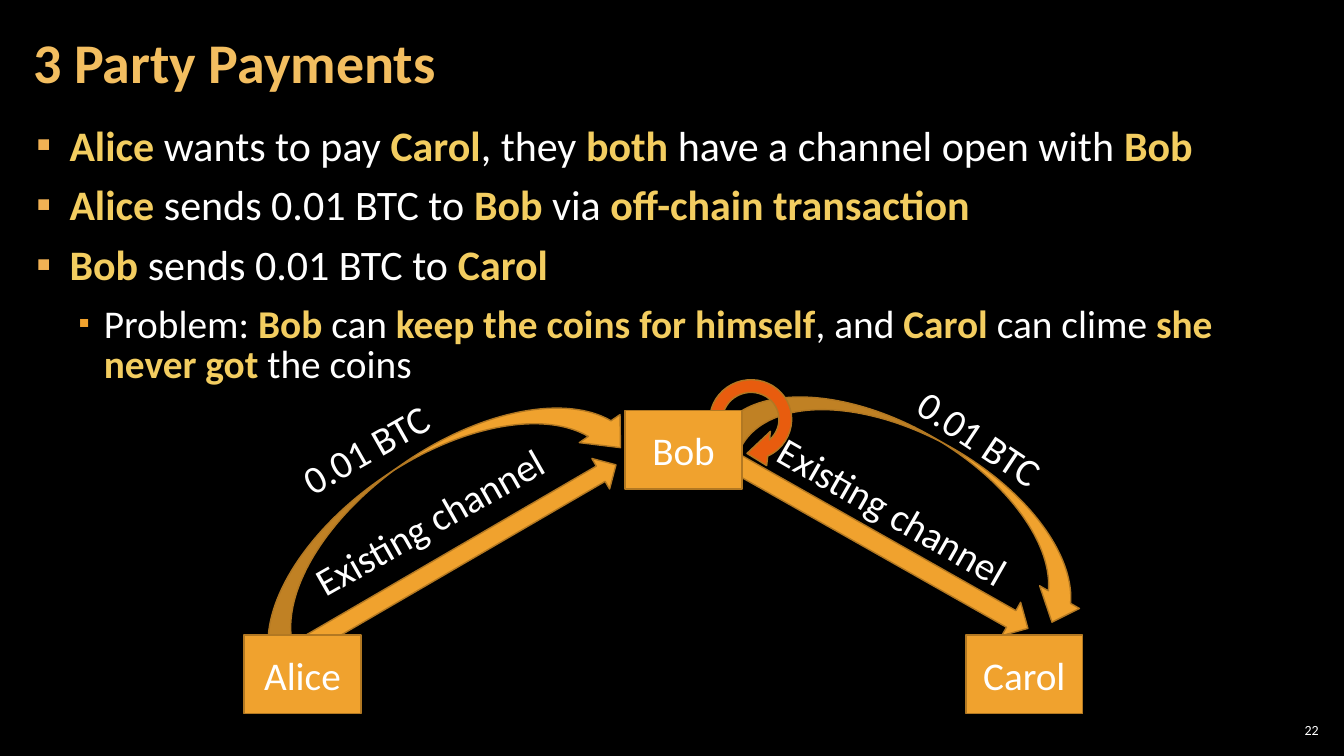
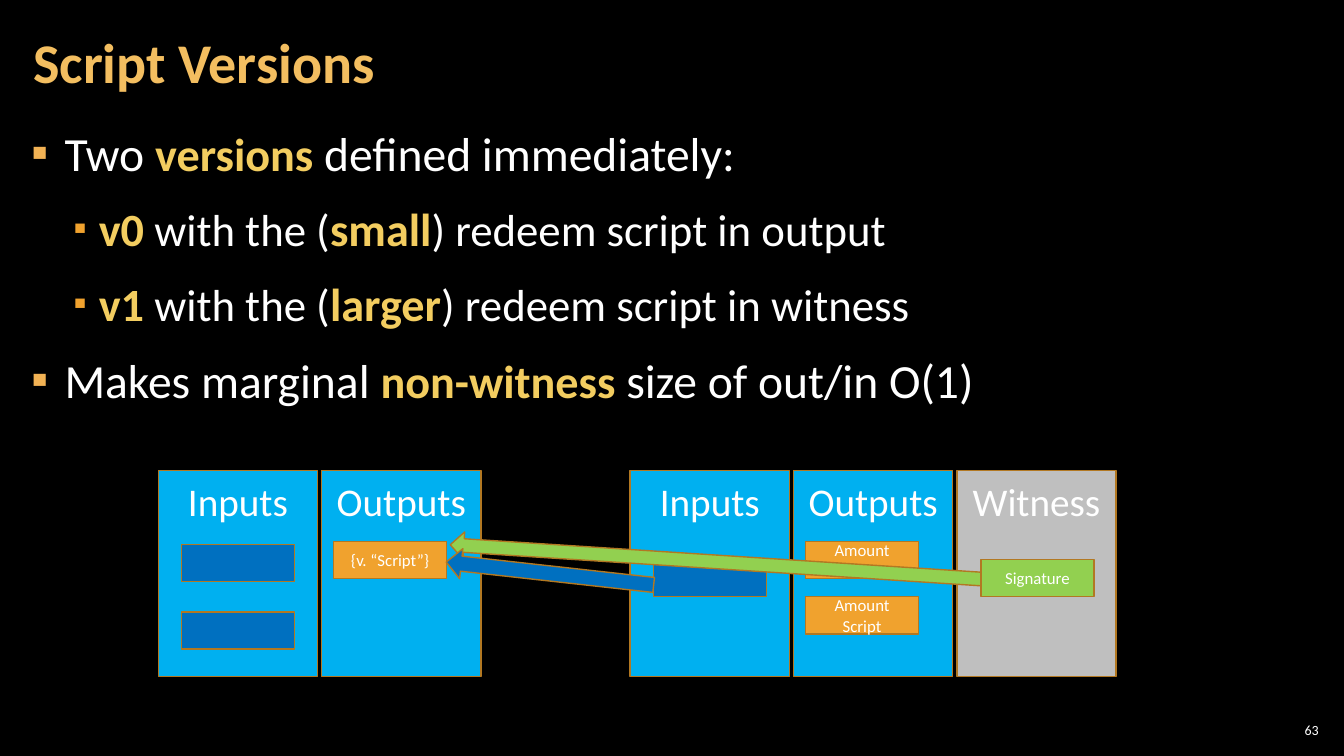
from lxml.etree import SubElement
from pptx import Presentation
from pptx.dml.color import RGBColor
from pptx.enum.shapes import MSO_SHAPE as Preset
from pptx.enum.text import MSO_ANCHOR as Anchor, MSO_AUTO_SIZE as AutoSize, PP_ALIGN as Align
from pptx.oxml.ns import qn
from pptx.util import Inches, Pt

# Shared style
FONT = "Calibri"
BLACK, WHITE, GREY = "000000", "FFFFFF", "BFBFBF"
TITLE, STRONG = "F3BE60", "F3CD60"
ORANGE, OUTLINE, RED = "F0A22E", "B27822", "E85C0E"
SKY, BLUE, GREEN = "00B0F0", "0070C0", "92D050"
INSETS = (0.12, 0.04, 0.12, 0.04)
# Per level: left indent, hanging indent, bullet colour, bullet size in percent
LEVELS = [(0.33, -0.33, "F2B254", 100), (0.67, -0.25, ORANGE, 80)]

# Grid of the transaction diagram
PANEL_TOP, PANEL_WIDTH, PANEL_HEIGHT, PANEL_PITCH = 4.67, 1.58, 2.04, 1.62
FIELD_SIZE = (1.12, 0.37)
PARTY_SIZE = (1.16, 0.78)


def color(hex_string):
    return RGBColor.from_string(hex_string)


def set_font(font, size, hex_color, bold=False):
    font.name = FONT
    font.size = Pt(size)
    font.bold = bold
    font.color.rgb = color(hex_color)


def set_insets(frame, insets):
    (frame.margin_left, frame.margin_top,
     frame.margin_right, frame.margin_bottom) = map(Inches, insets)


def add_text(slide, box, text, size, hex_color=WHITE, bold=False, align=Align.LEFT, insets=INSETS):
    shape = slide.shapes.add_textbox(*map(Inches, box))
    frame = shape.text_frame
    frame.word_wrap = True
    frame.vertical_anchor = Anchor.MIDDLE
    set_insets(frame, insets)
    paragraph = frame.paragraphs[0]
    paragraph.text = text
    paragraph.alignment = align
    set_font(paragraph.font, size, hex_color, bold)
    return shape


def add_slanted_label(slide, box, text, rotation):
    shape = add_text(slide, box, text, 28, insets=(0.1, 0.05, 0.1, 0.05))
    shape.text_frame.word_wrap = False
    shape.text_frame.auto_size = AutoSize.SHAPE_TO_FIT_TEXT
    shape.text_frame.vertical_anchor = Anchor.TOP
    shape.rotation = rotation


def add_block(slide, preset, box, fill, text="", size=28, rotation=0, adjustments=()):
    shape = slide.shapes.add_shape(preset, *map(Inches, box))
    shape.shadow.inherit = False
    shape.fill.solid()
    shape.fill.fore_color.rgb = color(fill)
    shape.line.color.rgb = color(OUTLINE)
    shape.line.width = Pt(1)
    shape.rotation = rotation
    for index, value in enumerate(adjustments):
        shape.adjustments[index] = value
    if text:
        paragraph = shape.text_frame.paragraphs[0]
        paragraph.text = text
        paragraph.alignment = Align.CENTER
        set_font(paragraph.font, size, WHITE)
        shape.text_frame.vertical_anchor = Anchor.MIDDLE
    return shape


def add_payment_arc(slide, box, rotation):
    arc = add_block(slide, Preset.CURVED_RIGHT_ARROW, box, ORANGE,
                    rotation=rotation, adjustments=(0.25, 0.45, 0.25))
    arc._element.spPr.xfrm.set("flipV", "1")


def set_bullet(paragraph, level):
    indent, hanging, bullet_color, percent = LEVELS[level]
    paragraph.level = level
    properties = paragraph._p.get_or_add_pPr()
    properties.set("marL", str(Inches(indent)))
    properties.set("indent", str(Inches(hanging)))
    SubElement(SubElement(properties, qn("a:buClr")), qn("a:srgbClr"), val=bullet_color)
    SubElement(properties, qn("a:buSzPct"), val=str(percent * 1000))
    SubElement(properties, qn("a:buFont"), typeface=FONT)
    SubElement(properties, qn("a:buChar"), char="▪")


def add_bullets(slide, box, items, sizes, line_spacing, strong_size=None):
    """Items are (level, text) pairs; text between asterisks is emphasised."""
    frame = slide.shapes.add_textbox(*map(Inches, box)).text_frame
    frame.word_wrap = True
    set_insets(frame, INSETS)
    for index, (level, text) in enumerate(items):
        paragraph = frame.add_paragraph() if index else frame.paragraphs[0]
        set_bullet(paragraph, level)
        paragraph.line_spacing = line_spacing
        paragraph.space_before = Pt(6 if index else 0)
        paragraph.space_after = Pt(6)
        set_font(paragraph.font, sizes[level], WHITE)
        for position, part in enumerate(text.split("*")):
            if not part:
                continue
            run = paragraph.add_run()
            run.text = part
            if position % 2:
                set_font(run.font, strong_size or sizes[level], STRONG, bold=True)


def new_slide(presentation, title, number):
    slide = presentation.slides.add_slide(presentation.slide_layouts[6])
    add_text(slide, (12.65, 7.14, 0.47, 0.21), number, 10, align=Align.RIGHT, insets=(0.04,) * 4)
    add_text(slide, (0.21, 0.04, 10.47, 1.21), title, 40, TITLE, bold=True).text_frame.paragraphs[0].line_spacing = 0.9
    return slide


def add_panels(slide, left, names):
    """Draw adjoining panels and return their left edges."""
    edges = [left + column * PANEL_PITCH for column in range(len(names))]
    for edge, name in zip(edges, names):
        panel = add_block(slide, Preset.RECTANGLE, (edge, PANEL_TOP, PANEL_WIDTH, PANEL_HEIGHT),
                          GREY if name == "Witness" else SKY, name)
        panel.text_frame.vertical_anchor = Anchor.TOP
        panel.text_frame.margin_top = Inches(0.07)
    return edges


def add_field(slide, left, drop, fill, text=""):
    add_block(slide, Preset.RECTANGLE, (left, PANEL_TOP + drop, *FIELD_SIZE), fill, text, 12)


def build_payments(presentation):
    slide = new_slide(presentation, "3 Party Payments", "22")
    add_payment_arc(slide, (8.63, 2.84, 1.01, 4.02), 119.7)
    add_slanted_label(slide, (8.94, 4.07, 1.59, 0.57), "0.01 BTC", 33.6)
    add_bullets(slide, (0.24, 1.22, 12.88, 2.86), [
        (0, "*Alice* wants to pay *Carol*, they *both* have a channel open with *Bob*"),
        (0, "*Alice* sends 0.01 BTC to *Bob* via *off-chain transaction*"),
        (0, "*Bob* sends 0.01 BTC to *Carol*"),
        (1, "Problem: *Bob *can* keep the coins for himself*, and* Carol *can clime* she never got *the coins"),
    ], sizes=(30, 28.1), line_spacing=0.85)
    add_payment_arc(slide, (3.71, 2.91, 1.09, 4.35), 55.5)
    add_slanted_label(slide, (2.84, 4.16, 1.59, 0.57), "0.01 BTC", 330.4)

    # Channels, and the coins that Bob keeps
    add_slanted_label(slide, (2.89, 4.88, 2.76, 0.57), "Existing channel", 330.4)
    add_slanted_label(slide, (7.49, 4.8, 2.8, 0.57), "Existing channel", 29.8)
    add_block(slide, Preset.CIRCULAR_ARROW, (6.94, 3.65, 1.01, 1.03), RED, rotation=77.1,
              adjustments=(0.125, 22.9, 204.577, 46.666, 0.169))
    add_block(slide, Preset.RIGHT_ARROW, (6.95, 5.19, 3.47, 0.38), ORANGE, rotation=29.5)
    add_block(slide, Preset.RIGHT_ARROW, (2.54, 5.4, 3.83, 0.35), ORANGE, rotation=329.8)

    # Parties
    for name, left, top in (("Alice", 2.42, 6.3), ("Bob", 6.2, 4.07), ("Carol", 9.58, 6.3)):
        add_block(slide, Preset.RECTANGLE, (left, top, *PARTY_SIZE), ORANGE, name)


def build_versions(presentation):
    slide = new_slide(presentation, "Script Versions", "63")
    add_bullets(slide, (0.19, 1.16, 12.91, 3.38), [
        (0, "Two *versions* defined immediately:"),
        (1, "*v0* with the (*small*) redeem script in output"),
        (1, "*v1* with the (*larger*) redeem script in witness"),
        (0, "Makes marginal *non-witness *size of out/in O(1)"),
    ], sizes=(34, 32), line_spacing=1.05, strong_size=33)

    # Funding transaction
    inputs, outputs = add_panels(slide, 1.57, ("Inputs", "Outputs"))
    for drop in (0.73, 1.4):
        add_field(slide, inputs + 0.23, drop, BLUE)
    add_field(slide, outputs + 0.12, 0.7, ORANGE, "{v. “Script”}")

    # Spending transaction
    inputs, outputs, witness = add_panels(slide, 6.25, ("Inputs", "Outputs", "Witness"))
    for drop in (0.7, 1.25):
        add_field(slide, outputs + 0.12, drop, ORANGE, "Amount Script")
    add_field(slide, inputs + 0.23, 0.88, BLUE)

    # References back to the funding output
    add_block(slide, Preset.LEFT_ARROW, (4.46, 5.44, 5.3, 0.27), GREEN, rotation=3.7)
    add_block(slide, Preset.LEFT_ARROW, (4.42, 5.54, 2.07, 0.3), BLUE, rotation=6.3)
    add_field(slide, witness + 0.24, 0.88, GREEN, "Signature")


def main():
    presentation = Presentation()
    presentation.slide_width, presentation.slide_height = Inches(13.33), Inches(7.5)
    background = presentation.slide_master.background.fill
    background.solid()
    background.fore_color.rgb = color(BLACK)
    build_payments(presentation)
    build_versions(presentation)
    presentation.save("out.pptx")


if __name__ == "__main__":
    main()
